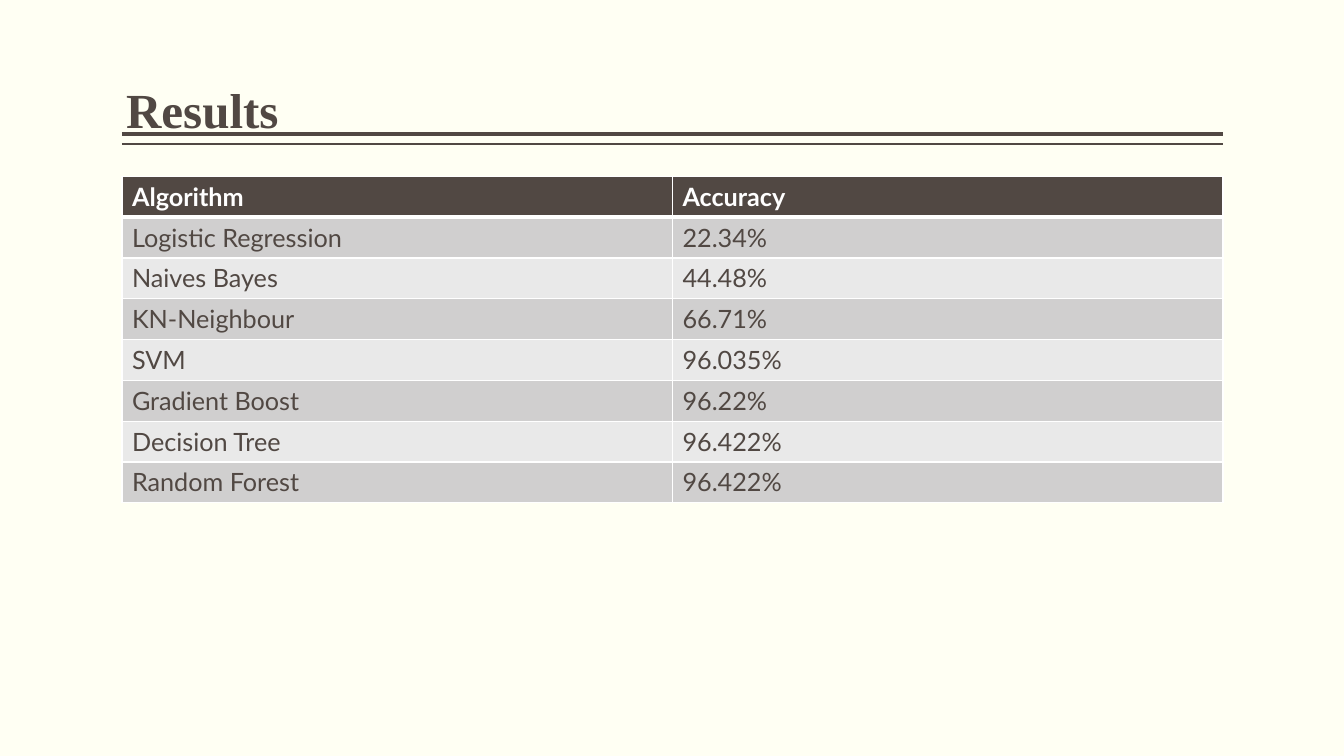
import pptx
import pptx.util
import pptx.dml.color
import pptx.enum.shapes
import pptx.enum.text
import pptx.oxml
import pptx.oxml.ns
import lxml.etree

# Content
TITLE = "Results"
ROWS = [
    ("Algorithm", "Accuracy"),
    ("Logistic Regression", "22.34%"),
    ("Naives Bayes", "44.48%"),
    ("KN-Neighbour", "66.71%"),
    ("SVM", "96.035%"),
    ("Gradient Boost", "96.22%"),
    ("Decision Tree", "96.422%"),
    ("Random Forest", "96.422%"),
]
RULES = [(1.33, 3), (1.43, 1)]  # height on slide, width in points

# Look
HUES = {"back": "FFFFF3", "dark": "514843", "white": "FFFFFF",
        "odd": "D0CFCF", "even": "E9E9E9"}
LEFT, WIDE = 1.21, 10.92
TOP, ROW = 1.75, 0.405

Inches, Pt = pptx.util.Inches, pptx.util.Pt


def hue(name):
    return pptx.dml.color.RGBColor.from_string(HUES[name])


def style(item, form):
    for key, value in form.items():
        setattr(item, key, value)


def write(frame, text, size, face, bold, tint):
    para = frame.paragraphs[0]
    run = para.add_run()
    run.text = text
    style(run.font, {"size": Pt(size), "name": face, "bold": bold})
    run.font.color.rgb = hue(tint)
    return para


def edge(cell, widths):
    props = cell._tc.get_or_add_tcPr()
    for spot, (side, width) in enumerate(widths.items()):
        props.insert(spot, pptx.oxml.parse_xml(
            f'<a:ln{side} {pptx.oxml.ns.nsdecls("a")} w="{Pt(width)}">'
            f'<a:solidFill><a:srgbClr val="{HUES["white"]}"/></a:solidFill>'
            f'</a:ln{side}>'))


def main():
    deck = pptx.Presentation()
    style(deck, {"slide_width": Inches(13.33), "slide_height": Inches(7.5)})
    slide = deck.slides.add_slide(deck.slide_layouts[6])
    slide.background.fill.solid()
    slide.background.fill.fore_color.rgb = hue("back")

    # Double rule under the title
    for y, width in RULES:
        rule = slide.shapes.add_connector(
            pptx.enum.shapes.MSO_CONNECTOR.STRAIGHT,
            Inches(LEFT), Inches(y), Inches(LEFT + WIDE), Inches(y))
        rule.line.color.rgb = hue("dark")
        rule.line.width = Pt(width)
        lxml.etree.SubElement(rule._element.spPr,
                              pptx.oxml.ns.qn("a:effectLst"))

    # Title
    box = slide.shapes.add_textbox(
        Inches(1.25), Inches(0.73), Inches(WIDE), Inches(0.7))
    style(box.text_frame, {
        "word_wrap": True, "margin_left": 0, "margin_right": 0,
        "vertical_anchor": pptx.enum.text.MSO_ANCHOR.BOTTOM})
    para = write(box.text_frame, TITLE, 35, "Times New Roman", True, "dark")
    para.line_spacing = 0.9

    # Table
    grid = slide.shapes.add_table(
        len(ROWS), len(ROWS[0]), Inches(LEFT), Inches(TOP),
        Inches(WIDE), Inches(ROW * len(ROWS))).table
    for r, row in enumerate(ROWS):
        head = r == 0
        fill = "dark" if head else "odd" if r % 2 else "even"
        for c, text in enumerate(row):
            cell = grid.cell(r, c)
            cell.fill.solid()
            cell.fill.fore_color.rgb = hue(fill)
            write(cell.text_frame, text, 18, "Lato", head,
                  "white" if head else "dark")
            edge(cell, {"L": 1, "R": 1, "T": 3 if r == 1 else 1,
                        "B": 3 if head else 1})

    deck.save("out.pptx")


if __name__ == "__main__":
    main()
